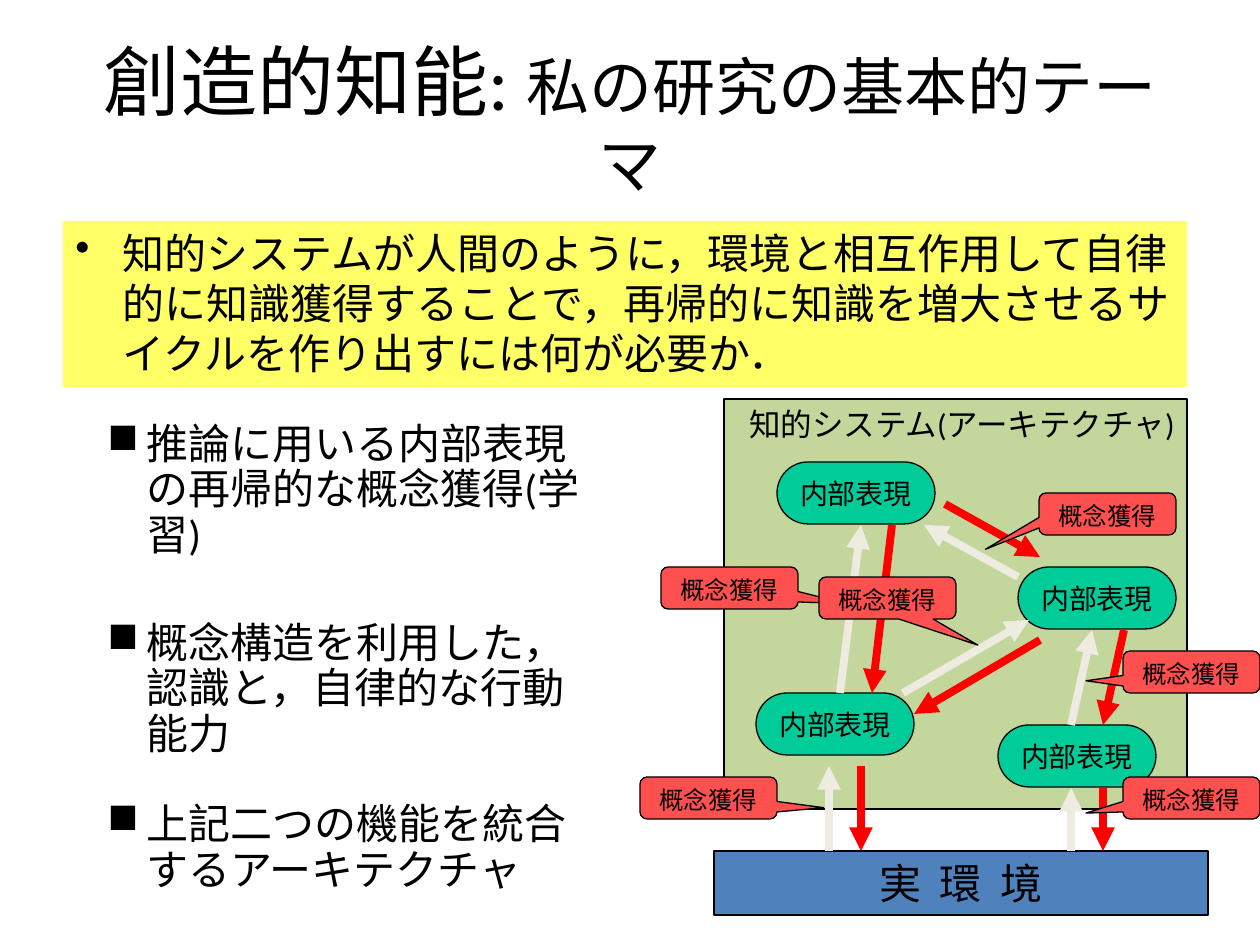
from lxml import etree
from pptx import Presentation
from pptx import util as u
from pptx.dml.color import RGBColor
from pptx.enum import shapes, text
from pptx.oxml.ns import qn

BLACK = RGBColor(0, 0, 0)
YELLOW = RGBColor(0xFF, 0xFF, 0x66)
OLIVE = RGBColor(0xC3, 0xD6, 0x9B)
GREEN = RGBColor(0, 0xCC, 0x99)
BLUE = RGBColor(0x4F, 0x81, 0xBD)
CREAM = RGBColor(0xEE, 0xEC, 0xE1)
RED = RGBColor(0xFF, 0, 0)
CORAL = RGBColor(0xFF, 0x50, 0x50)

KIND = shapes.MSO_SHAPE
MID = text.MSO_ANCHOR.MIDDLE
TOP = text.MSO_ANCHOR.TOP
LEFT, CENTER, RIGHT = text.PP_ALIGN.LEFT, text.PP_ALIGN.CENTER, text.PP_ALIGN.RIGHT


def px(n):
    return u.Emu(round(n * 914400 / 126))


class Deck:
    """Holds the text style and the slide being drawn."""

    def __init__(self, font):
        self.font = font
        self.show = Presentation()
        self.show.slide_width, self.show.slide_height = px(1260), px(945)
        self.slide = self.show.slides.add_slide(self.show.slide_layouts[6])

    def style(self, para, size, align):
        para.alignment = align
        para.font.name = self.font
        para.font.color.rgb = BLACK
        if size:
            para.font.size = u.Pt(size)

    def box(self, area):
        frame = self.slide.shapes.add_textbox(*map(px, area)).text_frame
        frame.word_wrap = True
        return frame

    def title(self, area, parts):
        frame = self.box(area)
        frame.vertical_anchor = MID
        para = frame.paragraphs[0]
        self.style(para, None, CENTER)
        for words, size in parts:
            run = para.add_run()
            run.text = words
            run.font.size = u.Pt(size)

    def bullets(self, area, items, mark, indent, pitch=1.0, fill=None):
        frame = self.box(area)
        if fill is not None:
            shape = self.slide.shapes[-1]
            shape.fill.solid()
            shape.fill.fore_color.rgb = fill
        for i, (words, gap) in enumerate(items):
            para = frame.add_paragraph() if i else frame.paragraphs[0]
            para.text = words
            props = para._p.get_or_add_pPr()
            props.set("marL", str(px(indent)))
            props.set("indent", str(-px(indent)))
            etree.SubElement(props, qn("a:buChar")).set("char", mark)
            para.line_spacing = pitch
            para.space_before = u.Pt(gap)
            self.style(para, 24, LEFT)

    def shape(self, kind, area, fill, words, size, align=CENTER, anchor=MID, adjust=(), wrap=True):
        shape = self.slide.shapes.add_shape(kind, *map(px, area))
        shape.shadow.inherit = False
        shape.fill.solid()
        shape.fill.fore_color.rgb = fill
        shape.line.color.rgb = BLACK
        shape.line.width = u.Pt(0.75)
        for i, value in enumerate(adjust):
            shape.adjustments[i] = value
        frame = shape.text_frame
        frame.word_wrap = wrap
        frame.vertical_anchor = anchor
        para = frame.paragraphs[0]
        para.text = words
        self.style(para, size, align)
        return shape

    def node(self, x, y):
        self.shape(KIND.ROUNDED_RECTANGLE, (x, y, 158, 62), GREEN, "内部表現", 16, adjust=[0.5])

    def callout(self, x, y, dx, dy):
        self.shape(KIND.ROUNDED_RECTANGULAR_CALLOUT, (x, y, 137, 42), CORAL, "概念獲得", 14,
                   anchor=TOP, adjust=[dx, dy, 0.17])

    def arrow(self, ends, color):
        line = self.slide.shapes.add_connector(shapes.MSO_CONNECTOR.STRAIGHT, *map(px, ends))
        line.line.color.rgb = color
        line.line.width = u.Pt(4.5)
        etree.SubElement(line.line._get_or_add_ln(), qn("a:tailEnd")).set("type", "triangle")
        etree.SubElement(line._element.spPr, qn("a:effectLst"))


def main():
    deck = Deck("Calibri")
    deck.shape(KIND.RECTANGLE, (724, 399, 463, 410), OLIVE, "知的システム(アーキテクチャ)", 18,
               align=RIGHT, anchor=TOP, wrap=False)
    deck.title((63, 38, 1134, 158), [("創造的知能: ", 44), ("私の研究の基本的テーマ", 36)])
    deck.bullets((63, 221, 1124, 166), [
        ("知的システムが人間のように，環境と相互作用して自律的に知識獲得することで，"
         "再帰的に知識を増大させるサイクルを作り出すには何が必要か．", 0),
    ], "•", 47, fill=YELLOW)
    deck.bullets((95, 417, 501, 368), [
        ("推論に用いる内部表現の再帰的な概念獲得(学習)", 0),
        ("概念構造を利用した，認識と，自律的な行動能力", 36),
        ("上記二つの機能を統合するアーキテクチャ", 26),
    ], "■", 39, pitch=0.9)

    world = deck.shape(KIND.RECTANGLE, (714, 851, 494, 64), BLUE, "実 環 境", 24)
    run = world.text_frame.paragraphs[0].runs[0]
    run._r.get_or_add_rPr().set("spc", "270")

    for spot in [(756, 693), (998, 725), (1018, 567), (777, 462)]:
        deck.node(*spot)

    for ends in [(829, 851, 829, 766), (1071, 851, 1071, 788), (903, 693, 1029, 620),
                 (1071, 725, 1092, 630), (1018, 577, 924, 525), (840, 693, 861, 525)]:
        deck.arrow(ends, CREAM)
    for ends in [(861, 766, 861, 851), (1103, 788, 1103, 851), (1040, 640, 914, 714),
                 (1124, 630, 1103, 725), (945, 504, 1040, 557), (892, 525, 872, 693)]:
        deck.arrow(ends, RED)

    for note in [(640, 777, 0.84, 0.23), (1123, 777, -0.77, 0.36), (661, 567, 0.85, 0.37),
                 (1039, 493, -0.89, 0.84), (1123, 651, -0.77, 0.21), (819, 577, 0.66, 1.12)]:
        deck.callout(*note)
    deck.show.save("out.pptx")


if __name__ == "__main__":
    main()
